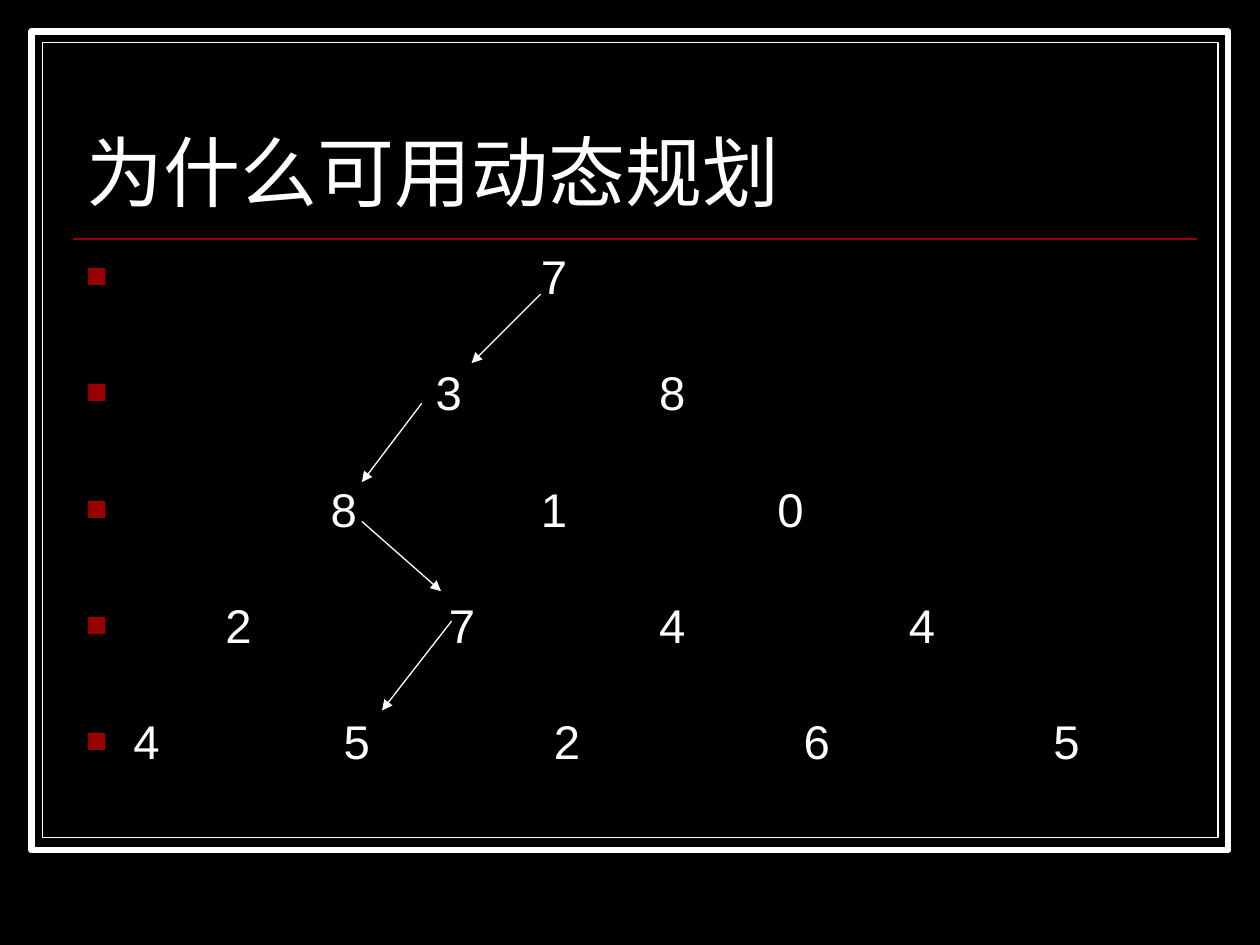
from lxml import etree
from pptx import Presentation
from pptx.dml.color import RGBColor
from pptx.enum.shapes import MSO_CONNECTOR, MSO_SHAPE
from pptx.enum.text import MSO_ANCHOR, MSO_AUTO_SIZE, PP_ALIGN
from pptx.oxml.ns import qn
from pptx.util import Pt

BLACK = RGBColor(0x00, 0x00, 0x00)
WHITE = RGBColor(0xFF, 0xFF, 0xFF)
RED = RGBColor(0x99, 0x00, 0x00)
RECT, STRAIGHT = MSO_SHAPE.RECTANGLE, MSO_CONNECTOR.STRAIGHT
TOP, BOTTOM, LEFT = MSO_ANCHOR.TOP, MSO_ANCHOR.BOTTOM, PP_ALIGN.LEFT
NO_FIT = MSO_AUTO_SIZE.NONE

INDENT = 27      # text indent of the number rows
STEP = 7.51      # column unit: half a digit's width
ROW_GAP = 40.5   # space between number rows

# Each number of the triangle with its column
TRIANGLE = [
    [(31, "7")],
    [(23, "3"), (40, "8")],
    [(15, "8"), (31, "1"), (49, "0")],
    [(7, "2"), (24, "7"), (40, "4"), (59, "4")],
    [(0, "4"), (16, "5"), (32, "2"), (51, "6"), (70, "5")],
]
# Steps of the path, as start x, y and end x, y
PATH = [
    (309, 168, 269.5, 207.5),
    (241, 230.5, 206.8, 275.5),
    (206.8, 298, 252, 337.8),
    (258, 355, 218.3, 406),
]


def set_all(target, values):
    for name, value in values.items():
        setattr(target, name, value)


def add_sub(parent, tag, **attrs):
    return etree.SubElement(parent, qn(tag), attrs)


def add_line(slide, ends, color, width, arrow=False):
    line = slide.shapes.add_connector(STRAIGHT, *map(Pt, ends))
    line.line.color.rgb = color
    line.line.width = Pt(width)
    if arrow:
        add_sub(line.line._get_or_add_ln(), "a:tailEnd", type="triangle")
    add_sub(line._element.spPr, "a:effectLst")


def add_frame(slide, box, width):
    sp = slide.shapes.add_shape(RECT, *map(Pt, box))
    sp.shadow.inherit = False
    sp.fill.solid()
    sp.fill.fore_color.rgb = BLACK
    sp.line.color.rgb = WHITE
    sp.line.width = Pt(width)


def place_text(sp, box, anchor):
    set_all(sp, dict(zip(("left", "top", "width", "height"), map(Pt, box))))
    tf = sp.text_frame
    set_all(tf, {"auto_size": NO_FIT, "word_wrap": True, "vertical_anchor": anchor,
                 "margin_left": Pt(7.2), "margin_right": Pt(7.2),
                 "margin_top": Pt(3.6), "margin_bottom": Pt(3.6)})
    return tf


def write(p, text, font, size):
    set_all(p, {"alignment": LEFT, "line_spacing": 0.8})
    r = p.add_run()
    r.text = text
    set_all(r.font, {"name": font, "size": Pt(size)})
    r.font.color.rgb = WHITE


def format_row(p, columns):
    """Square red bullet, hanging indent and one tab stop per number."""
    pPr = p._p.get_or_add_pPr()
    pPr.set("marL", str(Pt(INDENT)))
    pPr.set("indent", str(-Pt(INDENT)))
    add_sub(add_sub(pPr, "a:buClr"), "a:srgbClr", val=str(RED))
    add_sub(pPr, "a:buSzPct", val="75000")
    add_sub(pPr, "a:buFont", typeface="Arial")
    add_sub(pPr, "a:buChar", char="■")
    tabs = add_sub(pPr, "a:tabLst")
    for column in filter(None, columns):
        add_sub(tabs, "a:tab", pos=str(Pt(INDENT + column * STEP)), algn="l")


def add_title(slide, box):
    tf = place_text(slide.shapes.title, box, BOTTOM)
    write(tf.paragraphs[0], "为什么可用动态规划", "Times New Roman", 44)


def add_triangle(slide, box):
    tf = place_text(slide.placeholders[1], box, TOP)
    for i, row in enumerate(TRIANGLE):
        p = tf.add_paragraph() if i else tf.paragraphs[0]
        text = "".join(("\t" if column else "") + number for column, number in row)
        write(p, text, "Arial", 27)
        set_all(p, {"space_before": Pt(ROW_GAP if i else 2), "space_after": Pt(0)})
        format_row(p, [column for column, _ in row])


def main():
    prs = Presentation()
    prs.slide_width, prs.slide_height = Pt(720), Pt(540)
    slide = prs.slides.add_slide(prs.slide_layouts[1])
    slide.background.fill.solid()
    slide.background.fill.fore_color.rgb = BLACK

    # Double frame and title rule, kept behind the placeholders
    add_frame(slide, (18, 18, 684, 468), 3.5)
    add_frame(slide, (24.3, 24.3, 671.7, 454.3), 0.75)
    add_line(slide, (42, 136.5, 684, 136.5), RED, 1)
    tree = slide.shapes._spTree
    for sp in list(slide.placeholders):
        tree.append(sp._element)

    # Title and number triangle
    add_title(slide, (42, 37.5, 642, 90))
    add_triangle(slide, (42, 144, 642, 318))

    # Path through the triangle
    for ends in PATH:
        add_line(slide, ends, WHITE, 0.75, arrow=True)

    prs.save("out.pptx")


if __name__ == "__main__":
    main()
